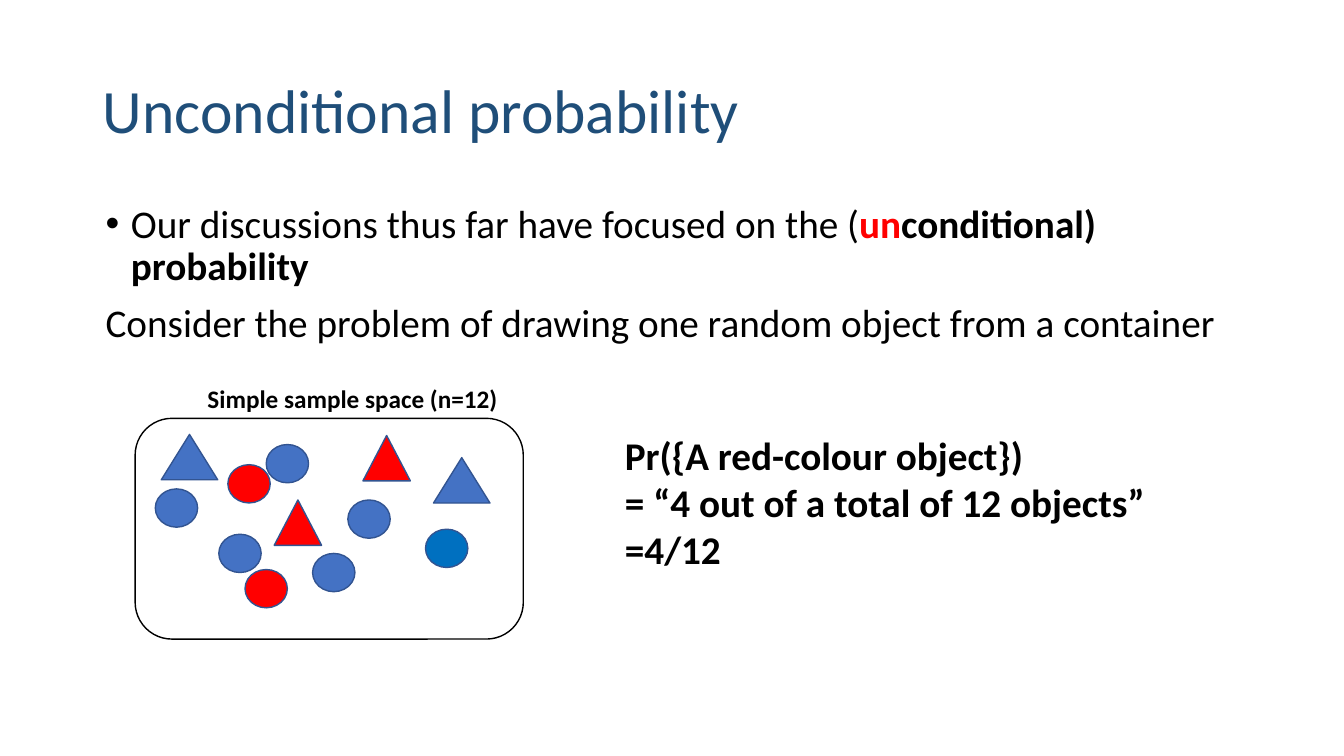
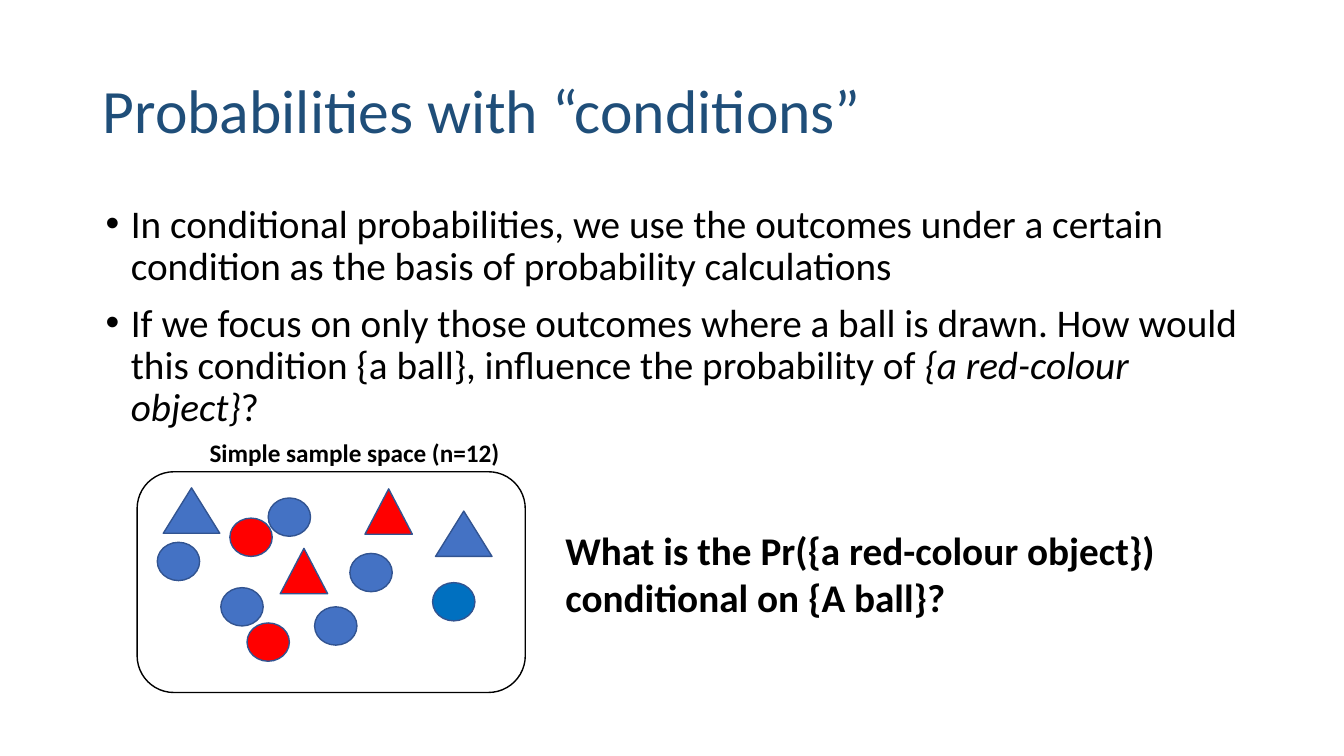
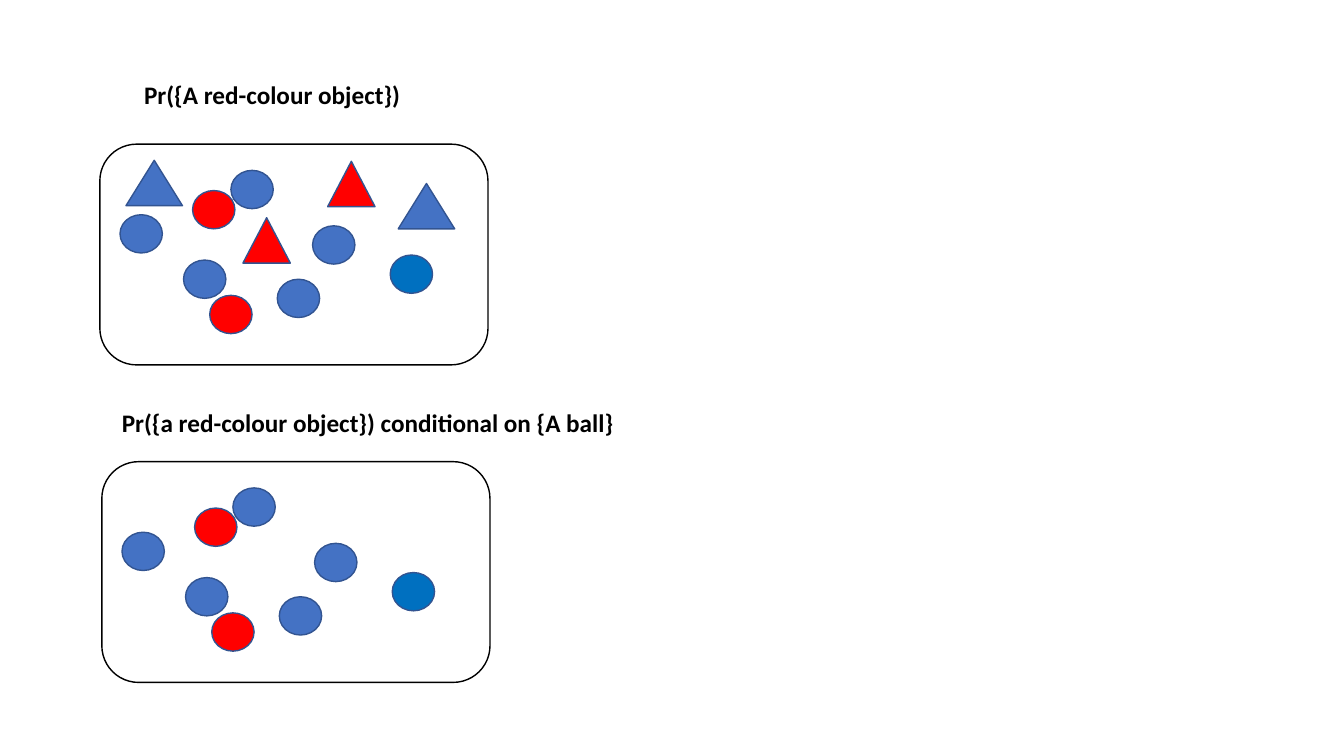
from dataclasses import dataclass

from pptx import Presentation
from pptx.dml.color import RGBColor
from pptx.enum.shapes import MSO_SHAPE
from pptx.enum.text import MSO_ANCHOR, MSO_AUTO_SIZE, PP_ALIGN
from pptx.oxml.ns import qn
from pptx.util import Inches, Pt


@dataclass(frozen=True)
class Theme:
    font: str = "Calibri"
    title: str = "1F4E79"
    ink: str = "000000"
    red: str = "FF0000"
    blue: str = "4472C4"
    deep: str = "0070C0"
    edge: str = "325491"
    head: int = 44
    body: int = 28
    label: int = 18
    gap: int = 10
    lead: float = 0.9
    line: float = 1


T = Theme()
SIZE = 13.33, 7.5
TITLE = 0.92, 0.4, 11.5, 1.45
BODY = 0.95, 1.98, 11.5, 4.76
INDENT = 0.25
BOX = 3.85, 2.19
FORMS = {
    "ball": (MSO_SHAPE.OVAL, 0.42, 0.38),
    "wide": (MSO_SHAPE.ISOSCELES_TRIANGLE, 0.56, 0.45),
    "slim": (MSO_SHAPE.ISOSCELES_TRIANGLE, 0.47, 0.45),
}

# Offsets of the objects from the corner of their container
BALLS = [
    ("ball", T.blue, 0.2, 0.7), ("ball", T.blue, 2.11, 0.81),
    ("ball", T.blue, 0.83, 1.15), ("ball", T.red, 1.09, 1.5),
    ("ball", T.red, 0.92, 0.46), ("ball", T.blue, 1.3, 0.26),
    ("ball", T.blue, 1.76, 1.34),
]
CONES = [
    ("wide", T.blue, 2.96, 0.39), ("slim", T.red, 2.26, 0.17),
    ("wide", T.blue, 0.26, 0.16),
]

# A run is plain text or (text, font values, colour)
BOLD, ITALIC = {"bold": True}, {"italic": True}
SPACE = "Simple sample space (n=12)"

# body: (bulleted, runs); notes: (place, size, wrap, lines);
# sets: (container corner, left of deep blue ball, red cone or None)
SLIDES = [
    {
        "title": "Unconditional probability",
        "body": [
            (True, ["Our discussions thus far have focused on the (",
                    ("un", BOLD, T.red),
                    ("conditional) probability", BOLD, T.ink)]),
            (False, ["Consider the problem of drawing one random object from a container"]),
        ],
        "notes": [
            ((1.96, 3.75, 3.1, 0.4), T.label, False, [SPACE]),
            ((6.1, 4.23, 5.42, 1.51), T.body, False,
             ["Pr({A red-colour object})", "= “4 out of a total of 12 objects”", "=4/12"]),
        ],
        "sets": [((1.34, 4.15), 2.88, (1.38, 0.81))],
    },
    {
        "title": "Probabilities with “conditions”",
        "body": [
            (True, ["In conditional probabilities, we use the outcomes under a certain "
                    "condition as the basis of probability calculations"]),
            (True, ["If we focus on only those outcomes where a ball is drawn. How would "
                    "this condition {a ball}, influence the probability of ",
                    ("{a red-colour object}", ITALIC, T.ink), "?"]),
        ],
        "notes": [
            ((1.98, 4.29, 3.1, 0.4), T.label, False, [SPACE]),
            ((5.51, 5.17, 6.61, 1.04), T.body, True,
             ["What is the Pr({a red-colour object}) conditional on {A ball}?"]),
        ],
        "sets": [((1.36, 4.68), 2.93, (1.42, 0.76))],
    },
    {
        "notes": [
            ((1.33, 0.74, 2.75, 0.4), T.label, True, ["Pr({A red-colour object})"]),
            ((1.11, 3.99, 6.67, 0.4), T.label, True,
             ["Pr({a red-colour object}) conditional on {A ball}"]),
        ],
        "sets": [((0.99, 1.43), 2.88, (1.42, 0.73)), ((1.01, 4.58), 2.88, None)],
    },
]


def assign(obj, values):
    for name, value in values.items():
        setattr(obj, name, value)


def inches(nums):
    return [Inches(n) for n in nums]


def write(para, runs, size, color=T.ink, **base):
    for item in runs:
        text, extra, tint = (item, {}, color) if isinstance(item, str) else item
        run = para.add_run()
        run.text = text
        assign(run.font, {"name": T.font, "size": Pt(size), **base, **extra})
        run.font.color.rgb = RGBColor.from_string(tint)


def bullet(para):
    props = para._p.get_or_add_pPr()
    props.set("marL", str(Inches(INDENT)))
    props.set("indent", str(-Inches(INDENT)))
    for tag, key, value in (("a:buFont", "typeface", "Arial"), ("a:buChar", "char", "•")):
        props.makeelement(qn(tag), {})
        node = props.makeelement(qn(tag), {key: value})
        props.append(node)


def paras(frame, items):
    """Yield a paragraph of the frame with each item."""
    for i, item in enumerate(items):
        yield i, frame.add_paragraph() if i else frame.paragraphs[0], item


def add_title(slide, text):
    head = slide.shapes.title
    assign(head, dict(zip(("left", "top", "width", "height"), inches(TITLE))))
    assign(head.text_frame, {"vertical_anchor": MSO_ANCHOR.MIDDLE, "word_wrap": True})
    para = head.text_frame.paragraphs[0]
    assign(para, {"alignment": PP_ALIGN.LEFT, "line_spacing": T.lead})
    write(para, [text], T.head, T.title)


def add_body(slide, items):
    frame = slide.shapes.add_textbox(*inches(BODY)).text_frame
    frame.word_wrap = True
    for i, para, (dot, runs) in paras(frame, items):
        assign(para, {"line_spacing": T.lead, "space_before": Pt(T.gap if i else 0)})
        if dot:
            bullet(para)
        write(para, runs, T.body)


def add_note(slide, place, size, wrap, lines):
    frame = slide.shapes.add_textbox(*inches(place)).text_frame
    assign(frame, {"word_wrap": wrap, "auto_size": MSO_AUTO_SIZE.SHAPE_TO_FIT_TEXT})
    for _, para, text in paras(frame, lines):
        write(para, [text], size, **BOLD)


def add_form(slide, kind, place, fill, edge):
    form = slide.shapes.add_shape(kind, *inches(place))
    form.shadow.inherit = False
    if fill:
        form.fill.solid()
        form.fill.fore_color.rgb = RGBColor.from_string(fill)
    else:
        form.fill.background()
    form.line.width = Pt(T.line)
    form.line.color.rgb = RGBColor.from_string(edge)


def add_set(slide, corner, deep, cone):
    """Draw a container with its balls, and its triangles if it has a red cone."""
    left, top = corner
    add_form(slide, MSO_SHAPE.ROUNDED_RECTANGLE, (*corner, *BOX), None, T.ink)
    items = BALLS + [("ball", T.deep, deep, 1.1)]
    if cone:
        items += CONES + [("slim", T.red, *cone)]
    for name, fill, x, y in items:
        kind, *size = FORMS[name]
        add_form(slide, kind, (left + x, top + y, *size), fill, T.edge)


def main():
    deck = Presentation()
    deck.slide_width, deck.slide_height = inches(SIZE)
    plain, blank = deck.slide_layouts[5], deck.slide_layouts[6]
    for data in SLIDES:
        slide = deck.slides.add_slide(plain if "title" in data else blank)
        if "title" in data:
            add_title(slide, data["title"])
            add_body(slide, data["body"])
        for note in data["notes"]:
            add_note(slide, *note)
        for group in data["sets"]:
            add_set(slide, *group)
    deck.save("out.pptx")


if __name__ == "__main__":
    main()
